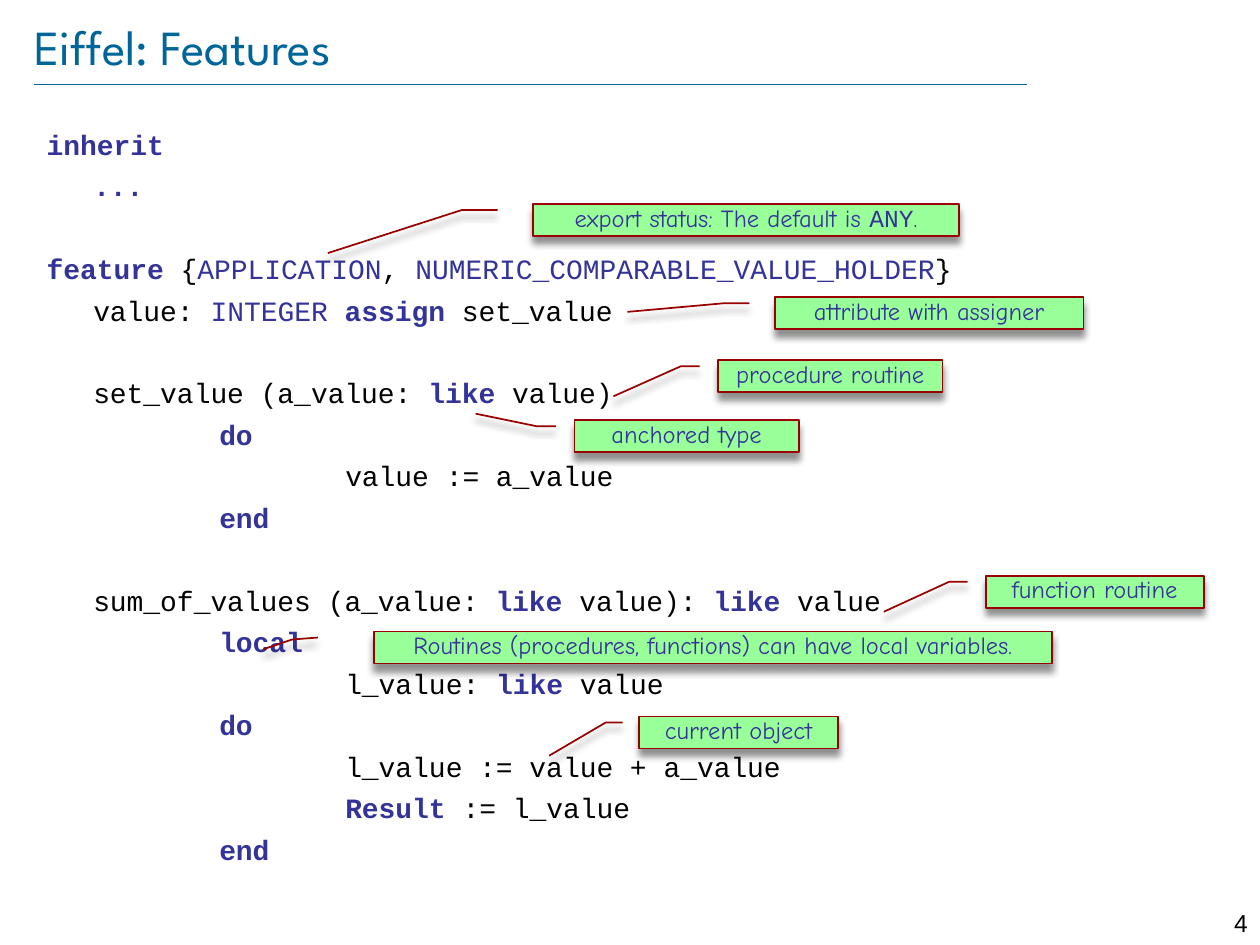
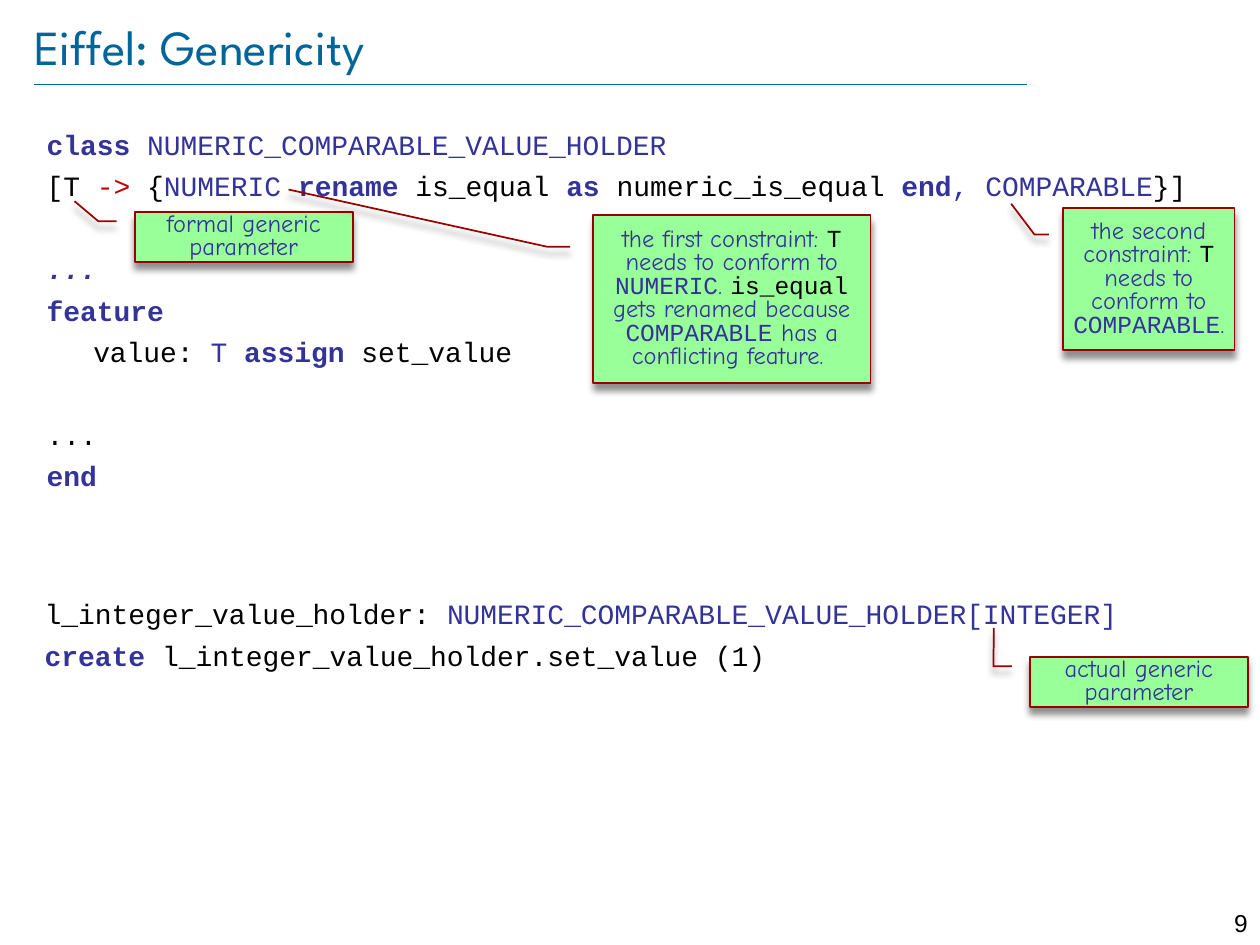
"""Builds two slides on Eiffel: code listings with callouts."""
from dataclasses import dataclass

from lxml import etree
from pptx import Presentation
from pptx.dml import color
from pptx.enum import shapes, text
from pptx.oxml import ns
from pptx.util import Pt


@dataclass(frozen=True)
class Theme:
    """Colours, fonts and type sizes of the deck."""
    title: str = "006699"
    blue: str = "333399"
    black: str = "000000"
    red: str = "C00000"
    note_fill: str = "99FF99"
    note_line: str = "990000"
    title_font: str = "League Spartan"
    code_font: str = "Courier New"
    note_font: str = "Comic Neue"
    number_font: str = "Arial"
    title_size: float = 28
    code_size: float = 16
    note_size: float = 14
    number_size: float = 14


THEME = Theme()
CODE = dict(font=THEME.code_font, size=THEME.code_size)
NOTE = dict(font=THEME.note_font, size=THEME.note_size, color=THEME.blue)
STYLES = {
    "key": dict(CODE, color=THEME.blue, bold=True),
    "dots": dict(CODE, color=THEME.blue, bold=True, italic=True),
    "type": dict(CODE, color=THEME.blue),
    "code": dict(CODE, color=THEME.black),
    "arrow": dict(CODE, color=THEME.red),
    "note": NOTE,
    "note type": dict(NOTE, font=THEME.code_font),
    "note code": dict(NOTE, font=THEME.code_font, color=THEME.black),
}

WIDTH, HEIGHT = 720, 540
MARGIN = 19.6
TITLE_BOX = (MARGIN, 8.9, 625.7, 34.56)
RULE_Y, RULE_END = 48.24, 586.8
NUMBER_BOX = (680.4, 515.5, 39.6, 17.3)
FIRST_INDENT, NEXT_INDENT = 26.64, 72
LINE_GAP, LINE_PITCH = 4.5, 23.73   # space above a line; distance between lines
ELBOW = (-0.167, 0.188)             # bend of a leader, as parts of the callout's size
START = (-0.083, 0.188)             # where a leader begins

# A code line is (indent level, blank lines above, spans); a span is (style, text).
# A callout has its box, the tip of its leader as parts of that box, and its spans.
PAGES = [
    dict(
        title="Eiffel: Features",
        number="4",
        listings=[dict(box=(MARGIN, 69.12, 676.8, 444.2), lines=[
            (0, 0, [("key", "inherit")]),
            (1, 0, [("key", "...")]),
            (0, 1, [("key", "feature "), ("code", "{"), ("type", "APPLICATION"),
                    ("code", ", "), ("type", "NUMERIC_COMPARABLE_VALUE_HOLDER"),
                    ("code", "}")]),
            (1, 0, [("code", "value: "), ("type", "INTEGER "),
                    ("key", "assign "), ("code", "set_value")]),
            (1, 1, [("code", "set_value (a_value: "), ("key", "like "),
                    ("code", "value)")]),
            (2, 0, [("key", "do")]),
            (3, 0, [("code", "value := a_value")]),
            (2, 0, [("key", "end")]),
            (1, 1, [("code", "sum_of_values (a_value: "), ("key", "like "),
                    ("code", "value): "), ("key", "like "), ("code", "value")]),
            (2, 0, [("key", "local")]),
            (3, 0, [("code", "l_value: "), ("key", "like "), ("code", "value")]),
            (2, 0, [("key", "do")]),
            (3, 0, [("code", "l_value := value + a_value")]),
            (3, 0, [("key", "Result "), ("code", ":= l_value")]),
            (2, 0, [("key", "end")]),
        ])],
        callouts=[
            dict(box=(442.8, 169.9, 176.4, 18.3), tip=(-0.478, 0.456),
                 spans=[("note", "attribute with assigner")]),
            dict(box=(410.4, 205.9, 128.2, 18.3), tip=(-0.467, 1.125),
                 spans=[("note", "procedure routine")]),
            dict(box=(563.3, 329, 124.6, 18.3), tip=(-0.467, 1.125),
                 spans=[("note", "function routine")]),
            dict(box=(304.6, 116.6, 243.4, 18.3), tip=(-0.482, 1.534),
                 spans=[("note", "export status: The default is "),
                        ("note type", "ANY"), ("note", ".")]),
            dict(box=(213.8, 360.9, 387.4, 18.3), tip=(-0.163, 0.549),
                 elbow=(-0.121, 0.248),
                 spans=[("note", "Routines (procedures, functions) "
                                 "can have local variables.")]),
            dict(box=(328.3, 240.2, 128.2, 18.3), tip=(-0.441, -0.208),
                 spans=[("note", "anchored type")]),
            dict(box=(365.2, 409.4, 113.8, 18.3), tip=(-0.452, 1.228),
                 spans=[("note", "current object")]),
        ],
    ),
    dict(
        title="Eiffel: Genericity",
        number="9",
        listings=[
            dict(box=(MARGIN, 69.12, 676.8, 218.9), lines=[
                (0, 0, [("key", "class "),
                        ("type", "NUMERIC_COMPARABLE_VALUE_HOLDER")]),
                (0, 0, [("code", "[T "), ("arrow", "-> "), ("code", "{"),
                        ("type", "NUMERIC "), ("key", "rename "),
                        ("code", "is_equal "), ("key", "as "),
                        ("code", "numeric_is_equal "), ("key", "end"),
                        ("type", ", COMPARABLE"), ("code", "}]")]),
                (0, 1, [("dots", "...")]),
                (0, 0, [("key", "feature")]),
                (1, 0, [("code", "value: "), ("type", "T "),
                        ("key", "assign "), ("code", "set_value")]),
                (0, 1, [("code", "...")]),
                (0, 0, [("key", "end")]),
            ]),
            dict(box=(18.5, 337.6, 676.8, 54), lines=[
                (0, 0, [("code", "l_integer_value_holder: "),
                        ("type", "NUMERIC_COMPARABLE_VALUE_HOLDER[INTEGER]")]),
                (0, 0, [("key", "create "),
                        ("code", "l_integer_value_holder.set_value (1)")]),
            ]),
        ],
        callouts=[
            dict(box=(77, 121, 124.6, 28.8), tip=(-0.276, -0.209),
                 spans=[("note", "formal generic parameter")]),
            dict(box=(339, 123, 158.4, 95.8), tip=(-1.099, -0.153),
                 spans=[("note", "the first constraint: "), ("note code", "T"),
                        ("note", " needs to conform to "), ("note type", "NUMERIC"),
                        ("note", ". "), ("note code", "is_equal"),
                        ("note", " gets renamed because "),
                        ("note type", "COMPARABLE"),
                        ("note", " has a conflicting feature. ")]),
            dict(box=(607.5, 118.8, 98, 81.4), tip=(-0.303, -0.029),
                 spans=[("note", "the second constraint: "), ("note code", "T"),
                        ("note", " needs to conform to "),
                        ("note type", "COMPARABLE"), ("note", ".")]),
            dict(box=(588.5, 375.3, 124.6, 28.8), tip=(-0.165, -0.574),
                 spans=[("note", "actual generic parameter")]),
        ],
    ),
]


def rgb(value):
    """Turn a hex string into a colour."""
    return color.RGBColor.from_string(value)


def points(lengths):
    """Turn plain numbers into lengths in points."""
    return [Pt(length) for length in lengths]


def add_span(para, words, *, font, size, color, bold=False, italic=False):
    """Append formatted text to a paragraph."""
    span = para.add_run()
    span.text = words
    span.font.name = font
    span.font.size = Pt(size)
    span.font.bold = bold
    span.font.italic = italic
    span.font.color.rgb = rgb(color)


def set_frame(frame, sides, ends, anchor):
    """Wrap the text of a frame and set its insets and anchor."""
    frame.word_wrap = True
    frame.margin_left = frame.margin_right = Pt(sides)
    frame.margin_top = frame.margin_bottom = Pt(ends)
    frame.vertical_anchor = anchor


def add_label(page, place, words, *, sides=0, ends=0, anchor=text.MSO_ANCHOR.MIDDLE,
              align=text.PP_ALIGN.LEFT, **style):
    """Add a text box with one line of text."""
    frame = page.shapes.add_textbox(*points(place)).text_frame
    set_frame(frame, sides, ends, anchor)
    frame.paragraphs[0].alignment = align
    add_span(frame.paragraphs[0], words, **style)


def add_effects(properties, shadow=False):
    """Add an effect list to shape properties, empty or with a drop shadow."""
    effects = etree.SubElement(properties, ns.qn("a:effectLst"))
    if shadow:
        outer = etree.SubElement(effects, ns.qn("a:outerShdw"), blurRad=str(Pt(4)),
                                 dist=str(Pt(4)), dir="5400000", rotWithShape="0")
        tint = etree.SubElement(outer, ns.qn("a:srgbClr"), val=THEME.black)
        etree.SubElement(tint, ns.qn("a:alpha"), val="43000")


def add_frame(page, title, number):
    """Add what every page shares: title, rule and page number."""
    rule = page.shapes.add_connector(
        shapes.MSO_CONNECTOR.STRAIGHT, *points((MARGIN, RULE_Y, RULE_END, RULE_Y)))
    rule.line.color.rgb = rgb(THEME.title)
    rule.line.width = Pt(0.25)
    add_effects(rule._element.spPr)
    add_label(page, NUMBER_BOX, number, sides=7.2, ends=3.6,
              anchor=text.MSO_ANCHOR.TOP, align=text.PP_ALIGN.RIGHT,
              font=THEME.number_font, size=THEME.number_size, color=THEME.black)
    add_label(page, TITLE_BOX, title, font=THEME.title_font,
              size=THEME.title_size, color=THEME.title)


def add_listing(page, box, lines):
    """Add a block of code, indented by level."""
    frame = page.shapes.add_textbox(*points(box)).text_frame
    set_frame(frame, 7.2, 3.6, text.MSO_ANCHOR.TOP)
    for index, (level, blanks, spans) in enumerate(lines):
        para = frame.add_paragraph() if index else frame.paragraphs[0]
        para.space_before = Pt(LINE_GAP + blanks * LINE_PITCH)
        indent = FIRST_INDENT + NEXT_INDENT * (level - 1) if level else 0
        para._p.get_or_add_pPr().set("marL", str(Pt(indent)))
        for style, words in spans:
            add_span(para, words, **STYLES[style])


def add_callout(page, box, tip, spans, elbow=ELBOW):
    """Add a note with a bent leader to the code it explains."""
    note = page.shapes.add_shape(shapes.MSO_SHAPE.LINE_CALLOUT_2, *points(box))
    leader = [part for x, y in (START, elbow, tip) for part in (y, x)]
    for index, part in enumerate(leader):
        note.adjustments[index] = part
    note.fill.solid()
    note.fill.fore_color.rgb = rgb(THEME.note_fill)
    note.line.color.rgb = rgb(THEME.note_line)
    note.line.width = Pt(1)
    add_effects(note._element.spPr, shadow=True)
    set_frame(note.text_frame, 0, 3.6, text.MSO_ANCHOR.MIDDLE)
    para = note.text_frame.paragraphs[0]
    para.alignment = text.PP_ALIGN.CENTER
    para.line_spacing = 0.8
    for style, words in spans:
        add_span(para, words, **STYLES[style])


def build():
    """Build the deck and save it."""
    deck = Presentation()
    deck.slide_width, deck.slide_height = Pt(WIDTH), Pt(HEIGHT)
    for content in PAGES:
        page = deck.slides.add_slide(deck.slide_layouts[6])
        add_frame(page, content["title"], content["number"])
        for listing in content["listings"]:
            add_listing(page, **listing)
        for callout in content["callouts"]:
            add_callout(page, **callout)
    deck.save("out.pptx")


build()
